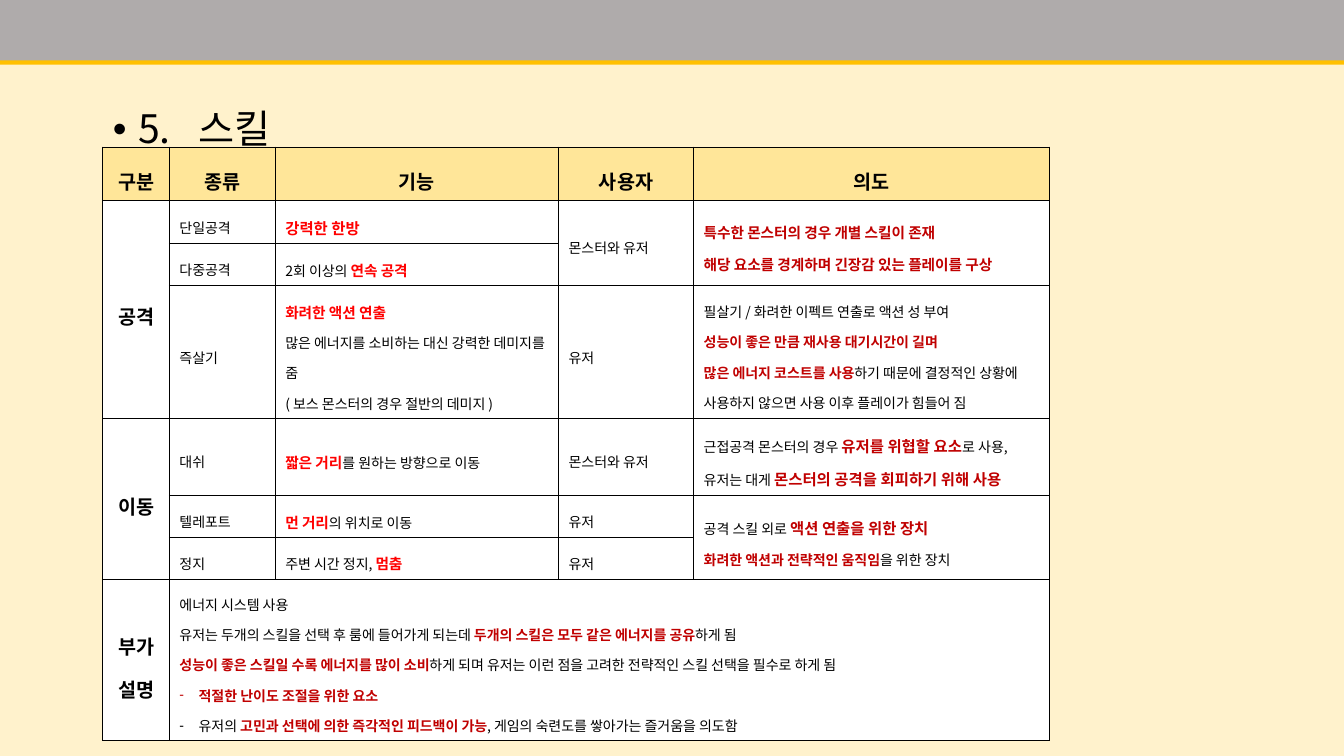
from dataclasses import dataclass

from lxml import etree
from pptx import Presentation
from pptx.dml.color import RGBColor
from pptx.enum.shapes import MSO_SHAPE
from pptx.enum.text import MSO_ANCHOR, MSO_AUTO_SIZE, PP_ALIGN
from pptx.oxml.ns import qn
from pptx.util import Inches, Pt

RECT = MSO_SHAPE.RECTANGLE
TOP, MIDDLE = MSO_ANCHOR.TOP, MSO_ANCHOR.MIDDLE
LEFT, CENTER = PP_ALIGN.LEFT, PP_ALIGN.CENTER
NO_FIT = MSO_AUTO_SIZE.NONE
TITLE_ONLY = 5


@dataclass(frozen=True)
class Theme:
    font: str = "Noto Sans CJK KR"
    page: str = "FFF2CC"
    band: str = "AFABAB"
    accent: str = "FFC000"
    header: str = "FFE699"
    cell: str = "FFFFFF"
    ink: str = "000000"
    red: str = "FF0000"
    dark_red: str = "C00000"
    title_size: float = 28
    head_size: float = 14
    large: float = 11
    medium: float = 10.5
    small: float = 10
    border: float = 1


T = Theme()
# style name: size, colour, bold
STYLES = {
    "title": (T.title_size, T.ink, False),
    "head": (T.head_size, T.ink, True),
    "body": (T.small, T.ink, False),
    "key": (T.medium, T.red, True),
    "big_key": (T.large, T.red, True),
    "why": (T.small, T.dark_red, True),
    "mid_why": (T.medium, T.dark_red, True),
    "big_why": (T.large, T.dark_red, True),
}

SLIDE_W, SLIDE_H = 13.33, 7.5
BAND_BOX = (0, 0, SLIDE_W, 0.08 * SLIDE_H)
TITLE_BOX = (1.02, 1.04, 9.39, 0.32)
TABLE_BOX = (1.02, 1.46, 9.39, 5.1)
COLUMNS = [0.66, 1.05, 2.81, 1.34, 3.53]
ROWS = [0.41] * 7 + [1.38]

HEADERS = ["구분", "종류", "기능", "사용자", "의도"]
GROUPS = [(1, 3, "공격"), (4, 3, "이동"), (7, 1, "부가\n설명")]
KINDS = ["단일공격", "다중공격", "즉살기", "대쉬", "텔레포트", "정지"]
USERS = [(1, 2, "몬스터와 유저"), (3, 1, "유저"), (4, 1, "몬스터와 유저"),
         (5, 1, "유저"), (6, 1, "유저")]
# Each cell is a list of paragraphs, each paragraph a list of (text, style) runs.
EFFECTS = [
    [[("강력한 한방", "big_key")]],
    [[("2회 이상의 ", "body"), ("연속 공격", "key")]],
    [[("화려한 액션 연출", "key")],
     [("많은 에너지를 소비하는 대신 강력한 데미지를 줌", "body")],
     [("( 보스 몬스터의 경우 절반의 데미지 )", "body")]],
    [[("짧은 거리", "key"), ("를 원하는 방향으로 이동", "body")]],
    [[("먼 거리", "key"), ("의 위치로 이동", "body")]],
    [[("주변 시간 정지, ", "body"), ("멈춤", "key")]],
]
INTENTS = [
    (1, 2, [[("특수한 몬스터의 경우 개별 스킬이 존재", "mid_why")],
            [("해당 요소를 경계하며 긴장감 있는 플레이를 구상", "mid_why")]]),
    (3, 1, [[("필살기 / 화려한 이펙트 연출로 액션 성 부여", "body")],
            [("성능이 좋은 만큼 재사용 대기시간이 길며", "why")],
            [("많은 에너지 코스트를 사용", "why"),
             ("하기 때문에 결정적인 상황에 사용하지 않으면 사용 이후 플레이가 힘들어 짐", "body")]]),
    (4, 1, [[("근접공격 몬스터의 경우 ", "body"), ("유저를 위협할 요소", "big_why"),
             ("로 사용, 유저는 대게 ", "body"),
             ("몬스터의 공격을 회피하기 위해 사용", "big_why")]]),
    (5, 2, [[("공격 스킬 외로 ", "body"), ("액션 연출을 위한 장치", "big_why")],
            [("화려한 액션과 전략적인 움직임", "why"), ("을 위한 장치", "body")]]),
]
NOTES = [
    [("에너지 시스템 사용", "body")],
    [("유저는 두개의 스킬을 선택 후 룸에 들어가게 되는데 ", "body"),
     ("두개의 스킬은 모두 같은 에너지를 공유", "why"), ("하게 됨", "body")],
    [("성능이 좋은 스킬일 수록 에너지를 많이 소비", "why"),
     ("하게 되며 유저는 이런 점을 고려한 전략적인 스킬 선택을 필수로 하게 됨", "body")],
    [("적절한 난이도 조절을 위한 요소", "why")],
    [("유저의 ", "body"), ("고민과 선택에 의한 즉각적인 피드백이 가능", "why"),
     (", 게임의 숙련도를 쌓아가는 즐거움을 의도함", "body")],
]
NOTE_BULLETS = (3, 4)


def add_xml(parent, tag, **attrs):
    return etree.SubElement(parent, qn(tag), {k: str(v) for k, v in attrs.items()})


def add_color(parent, color):
    add_xml(add_xml(parent, "a:solidFill"), "a:srgbClr", val=color)


def paint(fill, color):
    fill.solid()
    fill.fore_color.rgb = RGBColor.from_string(color)


def add_run(p, text, style):
    size, color, bold = STYLES[style]
    for i, line in enumerate(text.split("\n")):
        if i:
            p.add_line_break()
        r = p.add_run()
        r.text = line
        for name, value in {"size": Pt(size), "bold": bold, "name": T.font}.items():
            setattr(r.font, name, value)
        r.font.color.rgb = RGBColor.from_string(color)
        add_xml(r.font._element, "a:ea", typeface=T.font)


def add_bullet(p, char, indent):
    pPr = p._p.get_or_add_pPr()
    pPr.set("marL", str(Inches(indent)))
    pPr.set("indent", str(-Inches(indent)))
    add_xml(pPr, "a:buFont", typeface="Arial")
    add_xml(pPr, "a:buChar", char=char)


def add_band(s, box):
    """Grey strip whose hard shadow draws the yellow line below it."""
    band = s.shapes.add_shape(RECT, *map(Inches, box))
    band.shadow.inherit = False
    paint(band.fill, T.band)
    band.line.fill.background()
    effects = band._element.spPr.find(qn("a:effectLst"))
    shadow = add_xml(effects, "a:outerShdw", blurRad=0, dist=Pt(3), dir=5400000,
                     algn="t", rotWithShape=0)
    add_xml(shadow, "a:srgbClr", val=T.accent)


def add_title(s, box):
    title = s.shapes.title
    for name, value in zip(("left", "top", "width", "height"), box):
        setattr(title, name, Inches(value))
    tf = title.text_frame
    for name, value in {"word_wrap": True, "auto_size": NO_FIT, "vertical_anchor": TOP}.items():
        setattr(tf, name, value)
    p = tf.paragraphs[0]
    for name, value in {"alignment": LEFT, "line_spacing": 0.9, "space_before": Pt(10)}.items():
        setattr(p, name, value)
    add_bullet(p, "•", 0.25)
    tabs = add_xml(p._p.get_or_add_pPr(), "a:tabLst")
    add_xml(tabs, "a:tab", pos=Inches(0.85), algn="l")
    add_run(p, "5.\t스킬", "title")


def format_cell(cell, color):
    tcPr = cell._tc.get_or_add_tcPr()
    for side in ("a:lnL", "a:lnR", "a:lnT", "a:lnB"):
        add_color(add_xml(tcPr, side, w=Pt(T.border)), T.ink)
    paint(cell.fill, color)
    cell.vertical_anchor = MIDDLE


def fill_cell(cell, paragraphs, align=LEFT, bullets=()):
    tf = cell.text_frame
    for i, runs in enumerate(paragraphs):
        p = tf.add_paragraph() if i else tf.paragraphs[0]
        p.alignment, p.line_spacing = align, 1.5
        if i in bullets:
            add_bullet(p, "-", 0.19)
        for text, style in runs:
            add_run(p, text, style)


def add_skill_table(s, box):
    frame = s.shapes.add_table(len(ROWS), len(COLUMNS), *map(Inches, box))
    table = frame.table
    for column, width in zip(table.columns, COLUMNS):
        column.width = Inches(width)
    for i, (row, height) in enumerate(zip(table.rows, ROWS)):
        row.height = Inches(height)
        for cell in row.cells:
            format_cell(cell, T.cell if i else T.header)
    frame.height = Inches(box[3])

    def put(row, col, paragraphs, rows=1, cols=1, **options):
        cell = table.cell(row, col)
        if rows * cols > 1:
            cell.merge(table.cell(row + rows - 1, col + cols - 1))
        fill_cell(cell, paragraphs, **options)

    for col, text in enumerate(HEADERS):
        put(0, col, [[(text, "head")]], align=CENTER)
    for row, rows, text in GROUPS:
        put(row, 0, [[(text, "head")]], rows, align=CENTER)
    for row, (kind, effect) in enumerate(zip(KINDS, EFFECTS), 1):
        put(row, 1, [[(kind, "body")]])
        put(row, 2, effect)
    for row, rows, text in USERS:
        put(row, 3, [[(text, "body")]], rows)
    for row, rows, paragraphs in INTENTS:
        put(row, 4, paragraphs, rows)
    put(len(ROWS) - 1, 1, NOTES, cols=len(COLUMNS) - 1, bullets=NOTE_BULLETS)


def main():
    prs = Presentation()
    prs.slide_width, prs.slide_height = Inches(SLIDE_W), Inches(SLIDE_H)
    s = prs.slides.add_slide(prs.slide_layouts[TITLE_ONLY])
    paint(s.background.fill, T.page)
    add_band(s, BAND_BOX)
    add_title(s, TITLE_BOX)
    add_skill_table(s, TABLE_BOX)
    prs.save("out.pptx")


if __name__ == "__main__":
    main()
